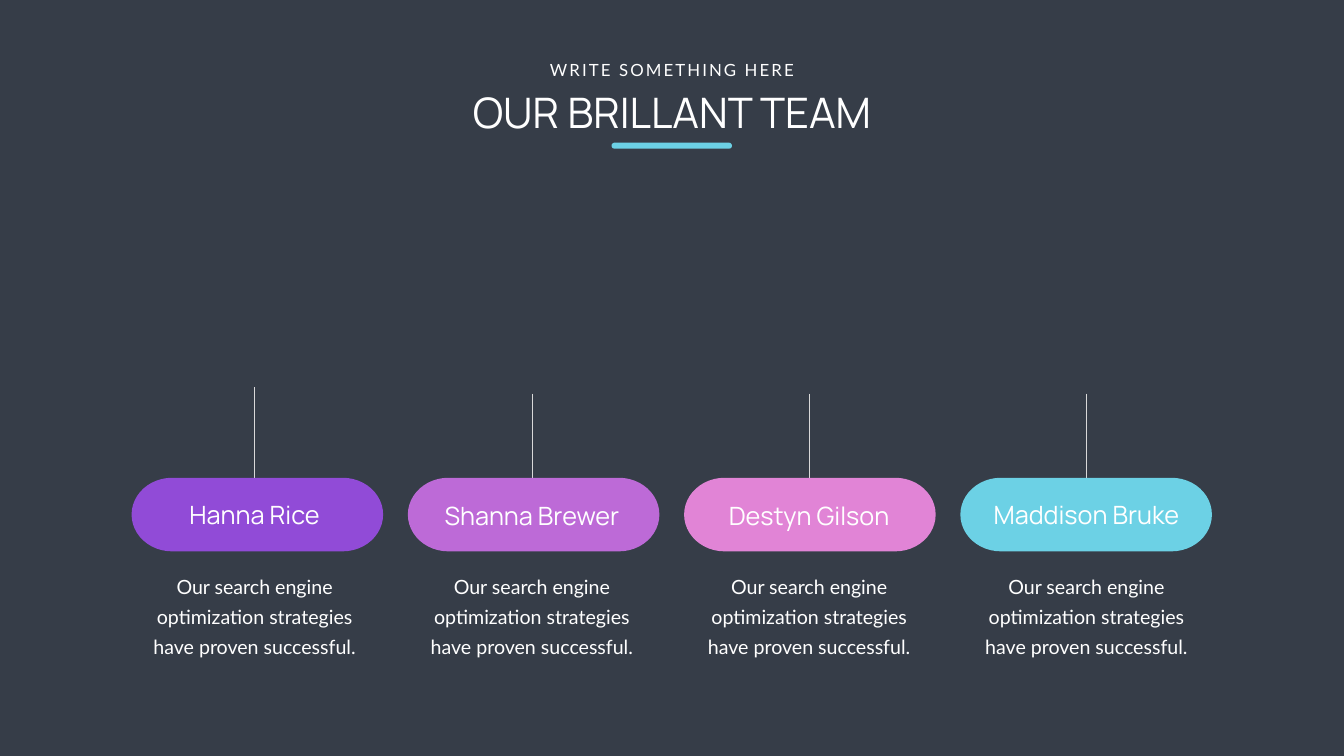
"""Build a team slide with four name pills and short notes."""
from pptx import Presentation
from pptx.dml.color import RGBColor
from pptx.enum.shapes import MSO_CONNECTOR, MSO_SHAPE
from pptx.enum.text import MSO_AUTO_SIZE, PP_ALIGN
from pptx.oxml.ns import qn
from pptx.util import Inches, Pt

LINE = MSO_CONNECTOR.STRAIGHT
ROUND = MSO_SHAPE.ROUNDED_RECTANGLE
PILL = MSO_SHAPE.FLOWCHART_TERMINATOR
GROW = MSO_AUTO_SIZE.SHAPE_TO_FIT_TEXT
CENTER = PP_ALIGN.CENTER

COLORS = {
    "back": "363D48", "text": "FFFFFF", "stem": "D9D9D9",
    "violet": "914BD7", "orchid": "BD6AD7", "pink": "E184D6", "aqua": "6CD1E5",
}
NOTE = "Our search engine optimization strategies have proven successful."
TEAM = [
    ("Hanna Rice", "violet", 3.1, 9.85, 7.68),
    ("Shanna Brewer", "orchid", 4.05, 9.88, 7.81),
    ("Destyn Gilson", "pink", 3.66, 9.88, 7.81),
    ("Maddison Bruke", "aqua", 4.29, 9.85, 7.81),
]


def color(name):
    return RGBColor.from_string(COLORS[name])


def add_text(slide, text, box, font, size, wrap=True, lead=None, track=None):
    frame = slide.shapes.add_textbox(*map(Inches, box)).text_frame
    frame.word_wrap = wrap
    frame.auto_size = GROW
    para = frame.paragraphs[0]
    run = para.add_run()
    run.text = text
    para.alignment = CENTER
    if lead:
        para.line_spacing = Pt(lead)
    if track:
        run._r.get_or_add_rPr().set("spc", str(track * 100))
    para.font.name = font
    para.font.size = Pt(size)
    para.font.color.rgb = color("text")


def add_bar(slide, kind, box, fill):
    bar = slide.shapes.add_shape(kind, *map(Inches, box))
    bar.shadow.inherit = False
    bar.fill.solid()
    bar.fill.fore_color.rgb = color(fill)
    bar.line.fill.background()
    return bar


def add_stem(slide, x, top, end):
    stem = slide.shapes.add_connector(LINE, *map(Inches, (x, top, x, end)))
    stem.line.color.rgb = color("stem")
    stem.line.width = Pt(0.5)
    props = stem._element.spPr
    props.append(props.makeelement(qn("a:effectLst"), {}))


def add_head(slide):
    add_text(slide, "OUR BRILLANT TEAM", (5.3, 1.67, 16.06, 1.11), "Manrope", 60)
    add_text(slide, "WRITE SOMETHING HERE", (10.76, 1.13, 5.14, 0.5),
             "Lato", 24, wrap=False, track=3)
    rule = add_bar(slide, ROUND, (12.13, 2.83, 2.39, 0.12), "aqua")
    rule.adjustments[0] = 0.5


def add_member(slide, index, name, fill, width, top, start):
    mid = 5.05 + 5.5 * index
    add_stem(slide, mid, start, 9.7)
    add_bar(slide, PILL, (2.61 + 5.48 * index, 9.48, 4.99, 1.46), fill)
    add_text(slide, name, (mid - width / 2, top, width, 0.71),
             "Manrope", 36, wrap=False)
    add_text(slide, NOTE, (mid - 2.22, 11.23, 4.44, 1.85), "Lato", 28, lead=43)


def main():
    deck = Presentation()
    deck.slide_width, deck.slide_height = Inches(26.66), Inches(15)
    slide = deck.slides.add_slide(deck.slide_layouts[6])
    slide.background.fill.solid()
    slide.background.fill.fore_color.rgb = color("back")
    add_head(slide)
    for index, member in enumerate(TEAM):
        add_member(slide, index, *member)
    deck.save("out.pptx")


if __name__ == "__main__":
    main()
